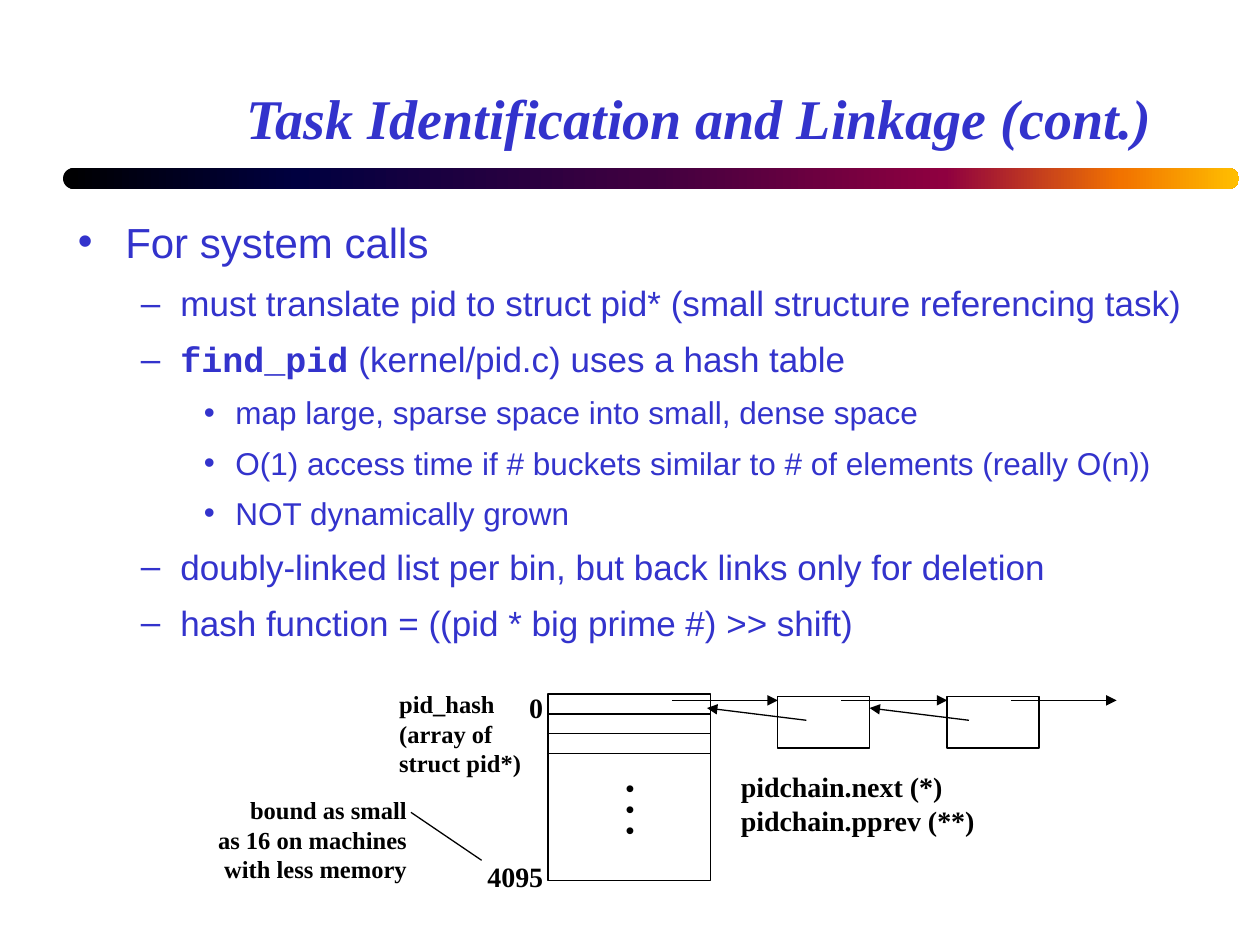
from dataclasses import dataclass

from lxml import etree
from pptx import Presentation
from pptx.dml.color import RGBColor
from pptx.enum.shapes import MSO_CONNECTOR, MSO_SHAPE
from pptx.enum.text import MSO_ANCHOR, MSO_AUTO_SIZE, PP_ALIGN
from pptx.oxml.ns import qn
from pptx.util import Pt

LEFT, RIGHT = PP_ALIGN.LEFT, PP_ALIGN.RIGHT
STRAIGHT = MSO_CONNECTOR.STRAIGHT
SERIF, SANS, MONO = "Times New Roman", "Arial", "Courier New"
COLORS = {"text": "3333CC", "ink": "000000"}
BAR_STOPS = [(0, "000000"), (20, "000040"), (50, "400040"),
             (75, "8F0040"), (90, "F27300"), (100, "FFBF00")]
TITLE_FONT = {"name": SERIF, "size": Pt(32), "bold": True, "italic": True}


@dataclass(frozen=True)
class Level:
    """Look of one outline level, lengths in points."""
    indent: float
    hang: float
    size: float
    bullet: str


@dataclass(frozen=True)
class Point:
    """One outline entry, with an optional code word in front."""
    level: int
    text: str
    code: str = ""


@dataclass(frozen=True)
class Label:
    """A diagram caption, lengths in points."""
    left: float
    top: float
    width: float
    height: float
    text: str
    size: float
    align: PP_ALIGN = LEFT
    rotation: float = 0
    margin: tuple = (7.2, 3.6)


LEVELS = [Level(27, 27, 24, "•"), Level(58.5, 22.5, 20, "–"), Level(90, 18, 18, "•")]
POINTS = [
    Point(0, "For system calls"),
    Point(1, "must translate pid to struct pid* (small structure referencing task)"),
    Point(1, " (kernel/pid.c) uses a hash table", code="find_pid"),
    Point(2, "map large, sparse space into small, dense space"),
    Point(2, "O(1) access time if # buckets similar to # of elements (really O(n))"),
    Point(2, "NOT dynamically grown"),
    Point(1, "doubly-linked list per bin, but back links only for deletion"),
    Point(1, "hash function = ((pid * big prime #) >> shift)"),
]
LABELS = [
    Label(221, 390.4, 85, 58.3, "pid_hash\n(array of\nstruct pid*)", 14),
    Label(295.2, 391, 22.3, 26.6, "0", 16, RIGHT),
    Label(270.7, 487.6, 46.8, 26.6, "4095", 16, RIGHT),
    Label(337, 448.6, 30.2, 28.8, ". . .", 24, rotation=270, margin=(0, 0)),
    Label(416.2, 436.4, 149.8, 46, "pidchain.next (*)\npidchain.pprev (**)", 16),
    Label(116.6, 450.8, 123.1, 58.3,
          "bound as small\nas 16 on machines\nwith less memory", 14, RIGHT),
]


def style_font(font, color: str, **values) -> None:
    """Set the colour and the given attributes of a font."""
    font.color.rgb = RGBColor.from_string(COLORS[color])
    for key, value in values.items():
        setattr(font, key, value)


def child(parent, tag: str, **attributes):
    """Append a drawing element and return it."""
    return etree.SubElement(parent, qn(tag), attributes)


def add_title(slide, text: str) -> None:
    """Place and format the title placeholder."""
    title = slide.shapes.title
    place = {"left": Pt(54), "top": Pt(18), "width": Pt(612), "height": Pt(72)}
    for key, value in place.items():
        setattr(title, key, value)
    frame = title.text_frame
    frame.text = text
    frame.auto_size = MSO_AUTO_SIZE.NONE
    frame.vertical_anchor = MSO_ANCHOR.BOTTOM
    frame.paragraphs[0].alignment = RIGHT
    style_font(frame.paragraphs[0].runs[0].font, "text", **TITLE_FONT)


def add_bar(slide) -> None:
    """Draw the gradient bar under the title."""
    bar = slide.shapes.add_shape(MSO_SHAPE.ROUNDED_RECTANGLE,
                                 Pt(36), Pt(96), Pt(672), Pt(12))
    bar.adjustments[0] = 0.5
    bar.shadow.inherit = False
    bar.line.fill.background()
    bar.fill.gradient()
    bar.fill.gradient_angle = 0
    stops = bar.element.spPr.find(qn("a:gradFill")).find(qn("a:gsLst"))
    for stop in list(stops):
        stops.remove(stop)
    for percent, color in BAR_STOPS:
        child(child(stops, "a:gs", pos=str(percent * 1000)), "a:srgbClr", val=color)


def format_outline(paragraph, level: Level) -> None:
    """Give a paragraph its indents, spacing and bullet."""
    props = paragraph._p.get_or_add_pPr()
    props.set("marL", str(Pt(level.indent)))
    props.set("indent", str(-Pt(level.hang)))
    for tag in ("a:spcBef", "a:spcAft"):
        child(child(props, tag), "a:spcPct", val="20000")
    child(child(props, "a:buClr"), "a:srgbClr", val=COLORS["text"])
    child(props, "a:buFont", typeface=SANS)
    child(props, "a:buChar", char=level.bullet)


def add_outline(slide) -> None:
    """Write the bulleted outline."""
    box = slide.shapes.add_textbox(Pt(37.5), Pt(120), Pt(648), Pt(375))
    frame = box.text_frame
    frame.word_wrap = True
    for index, point in enumerate(POINTS):
        paragraph = frame.add_paragraph() if index else frame.paragraphs[0]
        level = LEVELS[point.level]
        paragraph.level = point.level
        format_outline(paragraph, level)
        for text, name, bold in ((point.code, MONO, True), (point.text, SANS, False)):
            if text:
                run = paragraph.add_run()
                run.text = text
                style_font(run.font, "text", name=name, size=Pt(level.size), bold=bold)


def add_label(slide, label: Label) -> None:
    """Write one diagram caption."""
    box = slide.shapes.add_textbox(Pt(label.left), Pt(label.top),
                                   Pt(label.width), Pt(label.height))
    box.rotation = label.rotation
    frame = box.text_frame
    side, end = map(Pt, label.margin)
    settings = {"margin_left": side, "margin_right": side, "margin_top": end,
                "margin_bottom": end, "word_wrap": False,
                "auto_size": MSO_AUTO_SIZE.SHAPE_TO_FIT_TEXT, "text": label.text}
    for key, value in settings.items():
        setattr(frame, key, value)
    for paragraph in frame.paragraphs:
        paragraph.alignment = label.align
        style_font(paragraph.runs[0].font, "ink",
                   name=SERIF, size=Pt(label.size), bold=True)


def add_box(slide, left: float, top: float, width: float, height: float) -> None:
    """Draw an unfilled rectangle."""
    box = slide.shapes.add_shape(MSO_SHAPE.RECTANGLE,
                                 Pt(left), Pt(top), Pt(width), Pt(height))
    box.shadow.inherit = False
    box.fill.background()
    box.line.color.rgb = RGBColor.from_string(COLORS["ink"])
    box.line.width = Pt(0.75)


def add_line(slide, x1: float, y1: float, x2: float, y2: float,
             arrow: bool = False) -> None:
    """Draw a thin line, with an arrowhead at its end if asked."""
    line = slide.shapes.add_connector(STRAIGHT, Pt(x1), Pt(y1), Pt(x2), Pt(y2))
    line.line.color.rgb = RGBColor.from_string(COLORS["ink"])
    line.line.width = Pt(0.75)
    if arrow:
        child(line.line._get_or_add_ln(), "a:tailEnd", type="triangle")
    child(line.element.spPr, "a:effectLst")


def add_diagram(slide) -> None:
    """Draw the hash array, its chain of nodes and the captions."""
    array_left, array_top, array_width = 313.2, 396.6, 92.8
    add_box(slide, array_left, array_top, array_width, 106.6)
    for row in range(3):
        y = 408 + 11.3 * row
        add_line(slide, array_left, y, array_left + array_width, y)
    for node in range(2):
        add_box(slide, 444.2 + 97 * node, 398, 52.6, 29.5)
        shift = 92.9 * node
        add_line(slide, 460.8 + shift, 411.6, 404 + shift, 404.6, arrow=True)
    for link in range(3):
        x = 384 + 96.8 * link
        add_line(slide, x, 400.2, x + 60.5, 400.2, arrow=True)
    add_line(slide, 234.8, 464.2, 275.2, 491.6)
    for label in LABELS:
        add_label(slide, label)


deck = Presentation()
deck.slide_width, deck.slide_height = Pt(720), Pt(540)
linkage = deck.slides.add_slide(deck.slide_layouts[5])
add_title(linkage, "Task Identification and Linkage (cont.)")
add_bar(linkage)
add_outline(linkage)
add_diagram(linkage)
deck.save("out.pptx")
